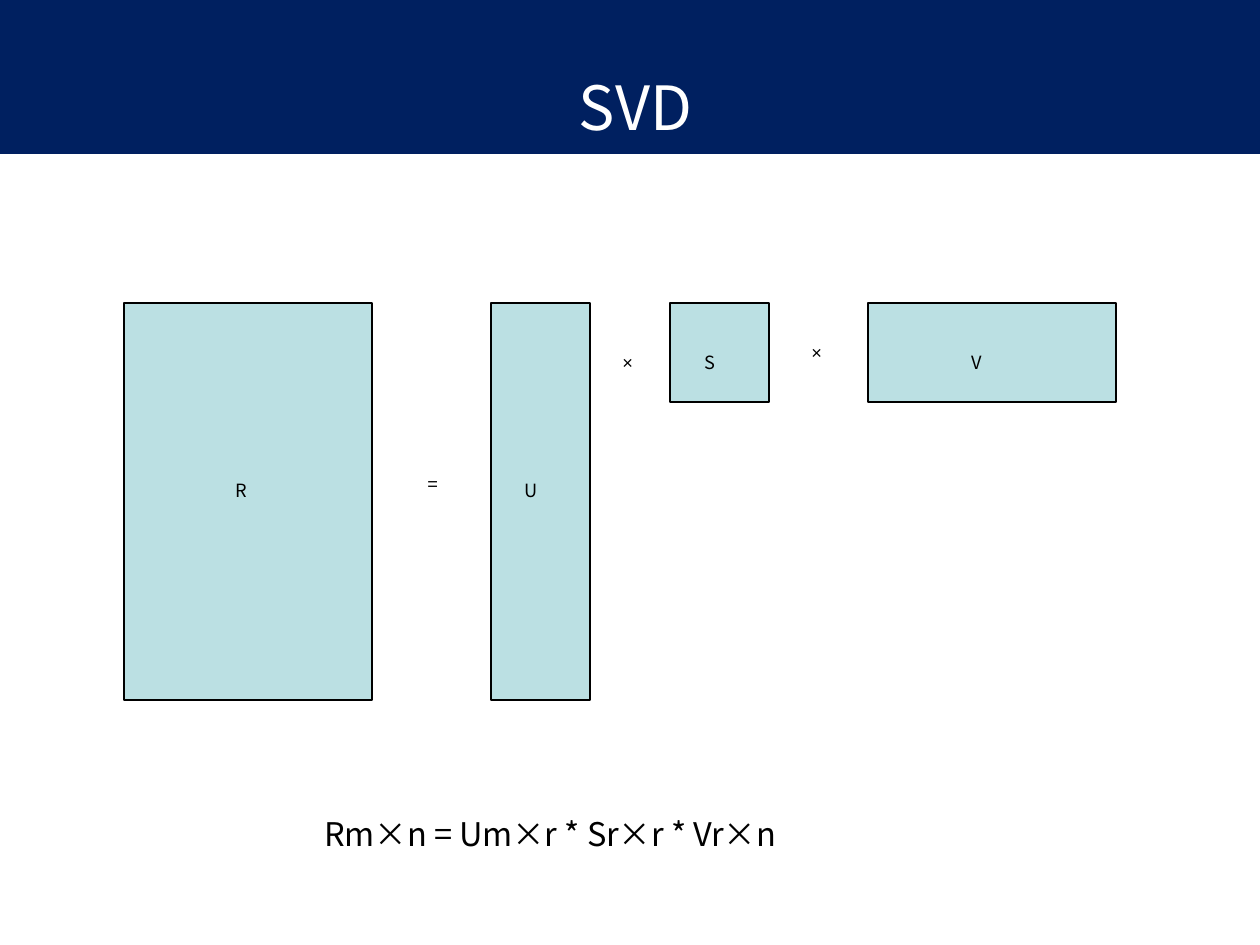
from dataclasses import dataclass

from pptx import Presentation
from pptx.dml.color import RGBColor
from pptx.enum.shapes import MSO_SHAPE
from pptx.enum.text import MSO_ANCHOR, MSO_AUTO_SIZE, PP_ALIGN
from pptx.slide import Slide
from pptx.text.text import _Paragraph
from pptx.util import Emu, Pt

RECTANGLE = MSO_SHAPE.RECTANGLE
MIDDLE = MSO_ANCHOR.MIDDLE
FIT_SHAPE = MSO_AUTO_SIZE.SHAPE_TO_FIT_TEXT
NO_FIT = MSO_AUTO_SIZE.NONE
CENTER = PP_ALIGN.CENTER
LEFT = PP_ALIGN.LEFT

EMU_PER_PX = 914400 / 126
LETTER_FONT = "Noto Sans CJK SC"
SYMBOL_FONT = "Arial"
NAVY = "002060"
PALE_TEAL = "BBE0E3"
BLACK = "000000"
WHITE = "FFFFFF"
SUBSCRIPT = "-25000"

MATRIX_TOP = 303
LONG_SIDE = 397
MIDDLE_SIDE = 248
SHORT_SIDE = 99


@dataclass(frozen=True)
class Matrix:
    left: int
    width: int
    height: int


@dataclass(frozen=True)
class Label:
    text: str
    left: int
    top: int
    width: int = 46
    height: int = 50
    font: str = LETTER_FONT
    size: int = 18
    wrap: bool = False


MATRICES = [
    Matrix(124, MIDDLE_SIDE, LONG_SIDE),
    Matrix(491, SHORT_SIDE, LONG_SIDE),
    Matrix(670, SHORT_SIDE, SHORT_SIDE),
    Matrix(868, MIDDLE_SIDE, SHORT_SIDE),
]

LABELS = [
    Label("=", 415, 445, font=SYMBOL_FONT),
    Label("×", 610, 324, font=SYMBOL_FONT),
    Label("×", 799, 314, font=SYMBOL_FONT),
    Label("R", 223, 452),
    Label("U", 512, 452),
    Label("S", 692, 324),
    Label("V", 959, 324),
    Label("Rm×n = Um×r * Sr×r * Vr×n", 312, 770, 753, 81, size=32, wrap=True),
]


def px(length: int) -> Emu:
    return Emu(round(length * EMU_PER_PX))


def color(value: str) -> RGBColor:
    return RGBColor.from_string(value)


def write_subscript(
    paragraph: _Paragraph, text: str, font: str, size: int, ink: str
) -> None:
    run = paragraph.add_run()
    run.text = text
    paragraph.font.name = font
    paragraph.font.size = Pt(size)
    paragraph.font.color.rgb = color(ink)
    run.font._element.set("baseline", SUBSCRIPT)


def draw_title(slide: Slide, text: str) -> None:
    title = slide.shapes.title
    title.left, title.top = px(-4), px(-13)
    title.width, title.height = px(1279), px(167)
    title.fill.solid()
    title.fill.fore_color.rgb = color(NAVY)
    title.text_frame.vertical_anchor = MIDDLE
    title.text_frame.auto_size = NO_FIT
    paragraph = title.text_frame.paragraphs[0]
    paragraph.alignment = CENTER
    write_subscript(paragraph, text, LETTER_FONT, 60, WHITE)


def draw_matrix(slide: Slide, matrix: Matrix) -> None:
    shape = slide.shapes.add_shape(
        RECTANGLE, px(matrix.left), px(MATRIX_TOP), px(matrix.width), px(matrix.height)
    )
    shape.shadow.inherit = False
    shape.fill.solid()
    shape.fill.fore_color.rgb = color(PALE_TEAL)
    shape.line.color.rgb = color(BLACK)
    shape.line.width = Pt(0.75)


def draw_label(slide: Slide, label: Label) -> None:
    shape = slide.shapes.add_textbox(
        px(label.left), px(label.top), px(label.width), px(label.height)
    )
    shape.text_frame.word_wrap = label.wrap
    shape.text_frame.auto_size = FIT_SHAPE
    paragraph = shape.text_frame.paragraphs[0]
    paragraph.alignment = LEFT
    write_subscript(paragraph, label.text, label.font, label.size, BLACK)


def main() -> None:
    presentation = Presentation()
    presentation.slide_width = px(1260)
    presentation.slide_height = px(945)
    slide = presentation.slides.add_slide(presentation.slide_layouts[5])
    draw_title(slide, "SVD")
    for matrix in MATRICES:
        draw_matrix(slide, matrix)
    for label in LABELS:
        draw_label(slide, label)
    presentation.save("out.pptx")


if __name__ == "__main__":
    main()
